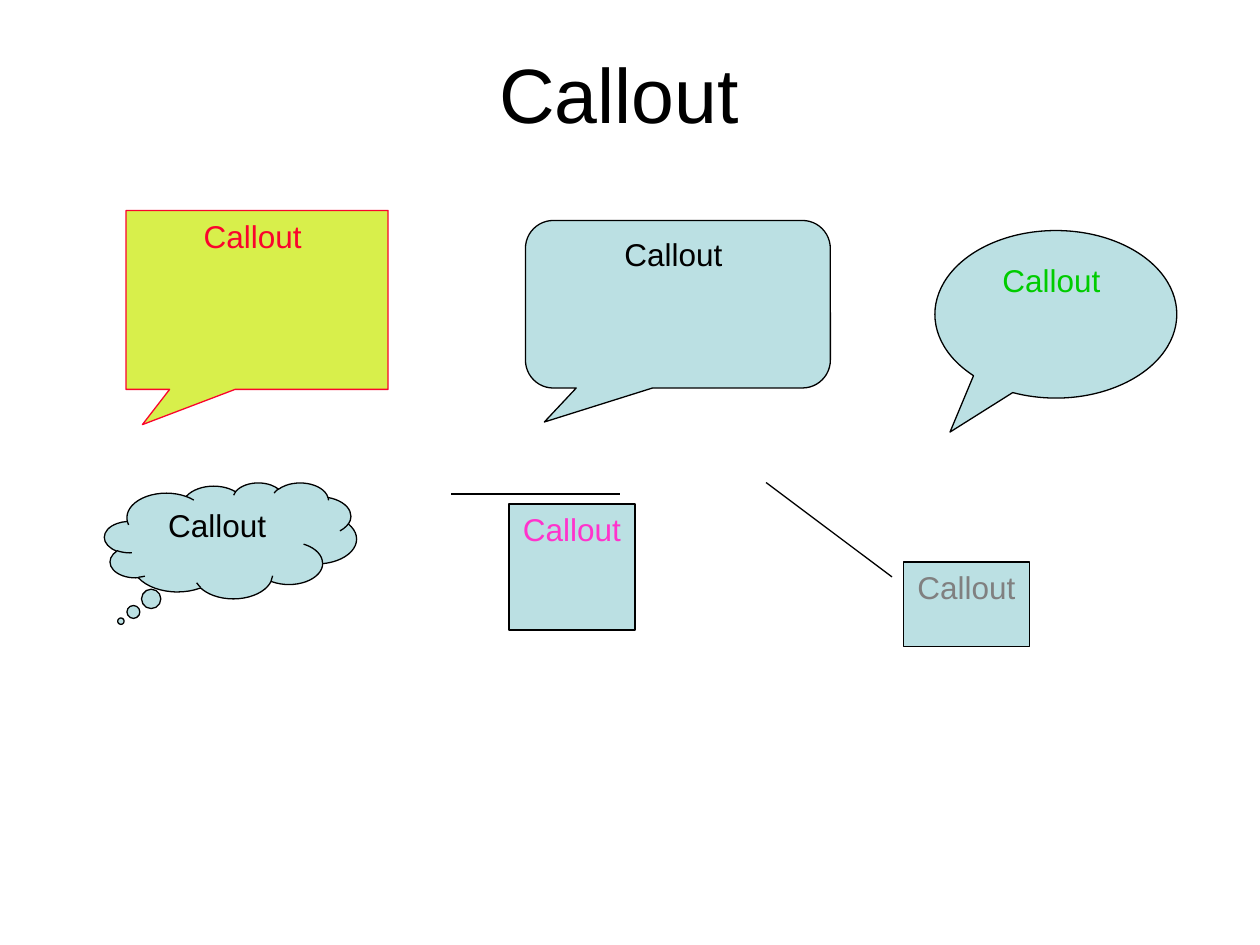
from dataclasses import dataclass

from pptx import Presentation
from pptx.dml.color import RGBColor
from pptx.enum.shapes import MSO_SHAPE as Shape
from pptx.enum.text import MSO_ANCHOR as Anchor, PP_ALIGN as Align
from pptx.util import Inches, Pt

BLACK = RGBColor(0x00, 0x00, 0x00)
RED = RGBColor(0xFA, 0x04, 0x2D)
LIME = RGBColor(0xD8, 0xEF, 0x4B)
PALE_BLUE = RGBColor(0xBB, 0xE0, 0xE3)
GREEN = RGBColor(0x00, 0xCC, 0x00)
PINK = RGBColor(0xFF, 0x33, 0xCC)
GRAY = RGBColor(0x80, 0x80, 0x80)

FONT = "Arial"
LABEL = "Callout "


@dataclass(frozen=True)
class Callout:
    """A callout; box and pointer points are in inches."""
    kind: Shape
    box: tuple[float, float, float, float]
    tip: tuple[float, float]
    start: tuple[float, float] | None = None  # only for line callouts
    text: RGBColor = BLACK
    fill: RGBColor = PALE_BLUE
    line: RGBColor = BLACK

    def adjustments(self) -> list[float]:
        """Pointer as fractions of the box: from its centre, or from its corner for a line."""
        x, y, w, h = self.box
        if self.start:
            return [f for px, py in (self.start, self.tip)
                    for f in ((py - y) / h, (px - x) / w)]
        return [(self.tip[0] - x) / w - 0.5, (self.tip[1] - y) / h - 0.5]


CALLOUTS = [
    Callout(Shape.RECTANGULAR_CALLOUT, (1, 1.67, 2.08, 1.42), (1.13, 3.37),
            text=RED, fill=LIME, line=RED),
    Callout(Shape.ROUNDED_RECTANGULAR_CALLOUT, (4.17, 1.75, 2.42, 1.33), (4.32, 3.35)),
    Callout(Shape.OVAL_CALLOUT, (7.42, 1.83, 1.92, 1.33), (7.54, 3.43), text=GREEN),
    Callout(Shape.CLOUD_CALLOUT, (0.83, 3.83, 2, 0.92), (0.96, 4.93)),
    Callout(Shape.LINE_CALLOUT_1, (4.04, 4, 1, 1), (3.58, 3.92), (4.92, 3.92), text=PINK),
    Callout(Shape.LINE_CALLOUT_1, (7.17, 4.46, 1, 0.67), (6.08, 3.83), (7.08, 4.58), text=GRAY),
]


def write_label(sp, size: int, color: RGBColor, anchor: Anchor) -> None:
    tf = sp.text_frame
    tf.word_wrap = True
    tf.vertical_anchor = anchor
    p = tf.paragraphs[0]
    p.alignment = Align.CENTER
    r = p.add_run()
    r.text = LABEL
    r.font.name = FONT
    r.font.size = Pt(size)
    r.font.color.rgb = color


def draw_callout(s, callout: Callout) -> None:
    sp = s.shapes.add_shape(callout.kind, *map(Inches, callout.box))
    sp.shadow.inherit = False
    for i, value in enumerate(callout.adjustments()):
        sp.adjustments[i] = value
    sp.fill.solid()
    sp.fill.fore_color.rgb = callout.fill
    sp.line.color.rgb = callout.line
    sp.line.width = Pt(0.75)
    write_label(sp, 18, callout.text, Anchor.TOP)


def main() -> None:
    prs = Presentation()
    prs.slide_width, prs.slide_height = Inches(10), Inches(7.5)
    s = prs.slides.add_slide(prs.slide_layouts[6])
    title = s.shapes.add_textbox(Inches(0.5), Inches(0.3), Inches(9), Inches(0.87))
    write_label(title, 44, BLACK, Anchor.MIDDLE)
    for callout in CALLOUTS:
        draw_callout(s, callout)
    prs.save("out.pptx")


if __name__ == "__main__":
    main()
